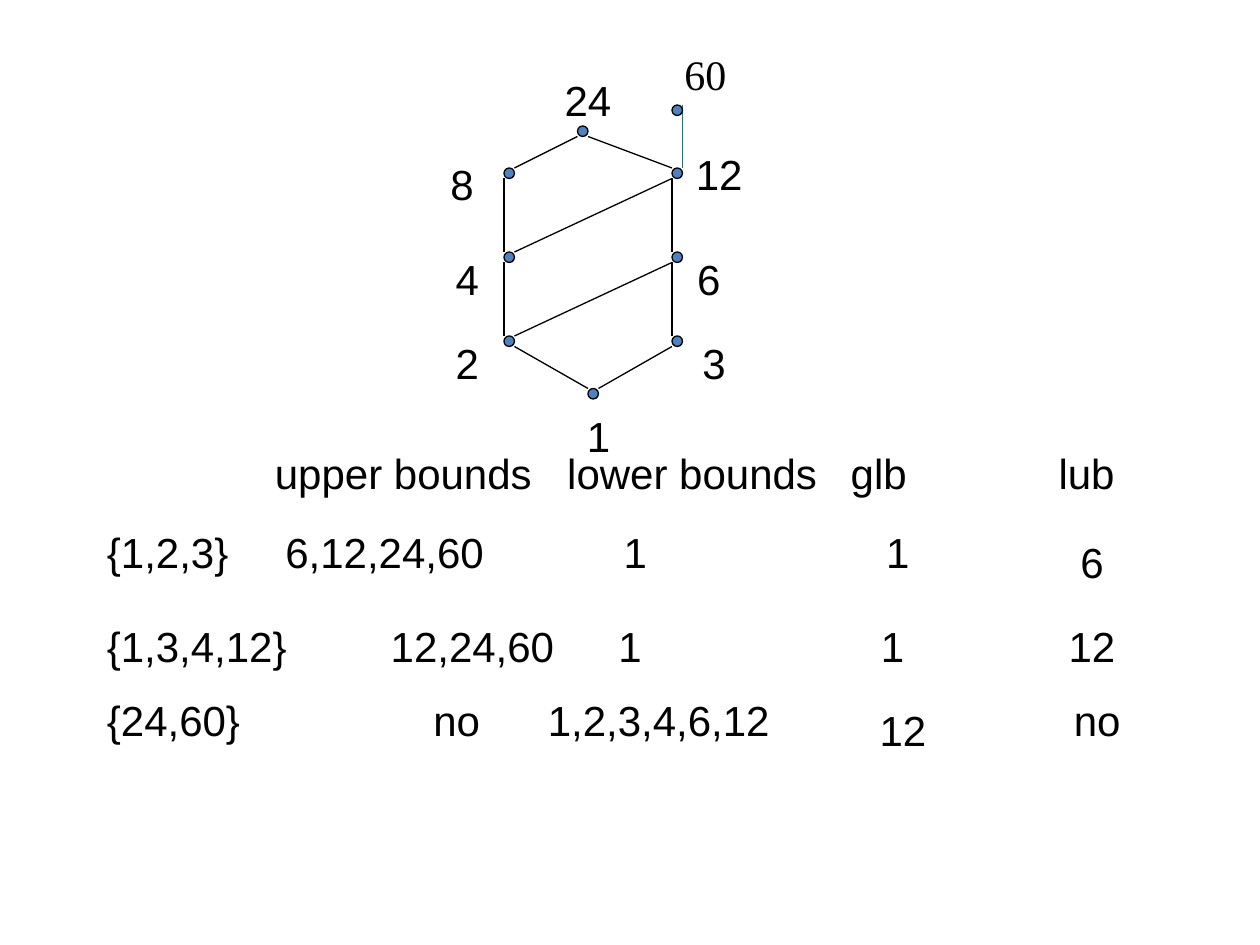
"""Build a slide with a divisibility lattice and the bounds of three subsets."""
from lxml.etree import SubElement
from pptx import Presentation
from pptx.dml.color import RGBColor
from pptx.enum.shapes import MSO_CONNECTOR, MSO_SHAPE
from pptx.enum.text import MSO_ANCHOR, PP_ALIGN
from pptx.oxml.ns import qn
from pptx.util import Inches, Pt

COLORS = {"text": "000000", "line": "000000", "dot": "4F81BD", "accent": "008080"}
COLUMNS, ROWS = 120, 90
LABEL_ROWS = 7.5
LEFT, CENTER = PP_ALIGN.LEFT, PP_ALIGN.CENTER

# name: (dot column, dot row), (label column, label row, label columns)
NODES = {
    "1": ((56, 37), (54, 37, 6)),
    "2": ((48, 32), (42, 30, 5)),
    "3": ((64, 32), (64, 30, 8)),
    "4": ((48, 24), (41, 22, 7)),
    "6": ((64, 24), (65, 22, 5)),
    "8": ((48, 16), (41, 13, 6)),
    "12": ((64, 16), (64, 12, 9)),
    "24": ((55, 12), (51, 5, 10)),
    "60": ((64, 10), (64, 4, 11)),
}
EDGES = [("1", "2"), ("1", "3"), ("2", "4"), ("2", "6"), ("3", "6"),
         ("4", "8"), ("6", "12"), ("4", "12"), ("8", "24"), ("12", "24")]
ACCENT_EDGE = ((65, 16), (65, 10))
NODE_FORMATS = {"60": {"font": "Times New Roman", "align": LEFT, "anchor": MSO_ANCHOR.TOP}}

HEADINGS = ["upper bounds", "lower bounds", "glb", "lub"]
HEADING_PLACE = (25, 40.5, 90)
HEADING_TABS = [2.32, 4.57, 6.22]
CELLS = [
    ("{1,2,3}", (9, 48, 21), LEFT),
    ("6,12,24,60", (26, 48, 34), LEFT),
    ("1", (54, 48, 13), CENTER),
    ("1", (78, 48, 15), CENTER),
    ("6", (95, 49, 18), CENTER),
    ("{1,3,4,12}", (9, 57, 24), LEFT),
    ("12,24,60", (33, 57, 24), CENTER),
    ("1", (53, 57, 14), CENTER),
    ("1", (81, 57, 8), CENTER),
    ("12", (99, 57, 10), CENTER),
    ("{24,60}", (9, 64, 20), LEFT),
    ("no", (33, 64, 21), CENTER),
    ("1,2,3,4,6,12", (51, 64, 25), LEFT),
    ("12", (81, 65, 10), CENTER),
    ("no", (94, 64, 21), CENTER),
]

deck = Presentation()
deck.slide_width, deck.slide_height = Inches(10), Inches(7.5)
page = deck.slides.add_slide(deck.slide_layouts[6])


def grid(column, row):
    return int(deck.slide_width * column / COLUMNS), int(deck.slide_height * row / ROWS)


def color(name):
    return RGBColor.from_string(COLORS[name])


def add_label(text, place, align=CENTER, font="Arial", anchor=MSO_ANCHOR.BOTTOM, tabs=()):
    column, row, columns = place
    box = page.shapes.add_textbox(*grid(column, row), *grid(columns, LABEL_ROWS))
    frame = box.text_frame
    frame.word_wrap, frame.vertical_anchor = True, anchor
    para = frame.paragraphs[0]
    para.alignment = align
    if tabs:
        stops = SubElement(para._p.get_or_add_pPr(), qn("a:tabLst"))
        for tab in tabs:
            SubElement(stops, qn("a:tab"), pos=str(Inches(tab)), algn="l")
    span = para.add_run()
    span.text = text
    for name, value in {"name": font, "size": Pt(24)}.items():
        setattr(span.font, name, value)
    span.font.color.rgb = color("text")


def add_line(start, end, line_color="line"):
    line = page.shapes.add_connector(MSO_CONNECTOR.STRAIGHT, *grid(*start), *grid(*end))
    line.line.width = Pt(0.75)
    line.line.color.rgb = color(line_color)
    SubElement(line._element.spPr, qn("a:effectLst"))


def add_edge(lower, upper):
    (low_x, low_y), (high_x, high_y) = NODES[lower][0], NODES[upper][0]
    add_line((low_x + (high_x > low_x), low_y), (high_x + (high_x < low_x), high_y + 1))


def add_dot(place):
    dot = page.shapes.add_shape(MSO_SHAPE.OVAL, *grid(*place), *grid(1, 1))
    dot.shadow.inherit = False
    dot.fill.solid()
    dot.fill.fore_color.rgb = color("dot")
    dot.line.width = Pt(0.75)
    dot.line.color.rgb = color("line")


for lower, upper in EDGES:
    add_edge(lower, upper)
add_line(*ACCENT_EDGE, line_color="accent")
for name, (dot_place, label_place) in NODES.items():
    add_dot(dot_place)
    add_label(name, label_place, **NODE_FORMATS.get(name, {}))

add_label("\t".join(HEADINGS), HEADING_PLACE, LEFT, tabs=HEADING_TABS)
for text, place, align in CELLS:
    add_label(text, place, align)

deck.save("out.pptx")
